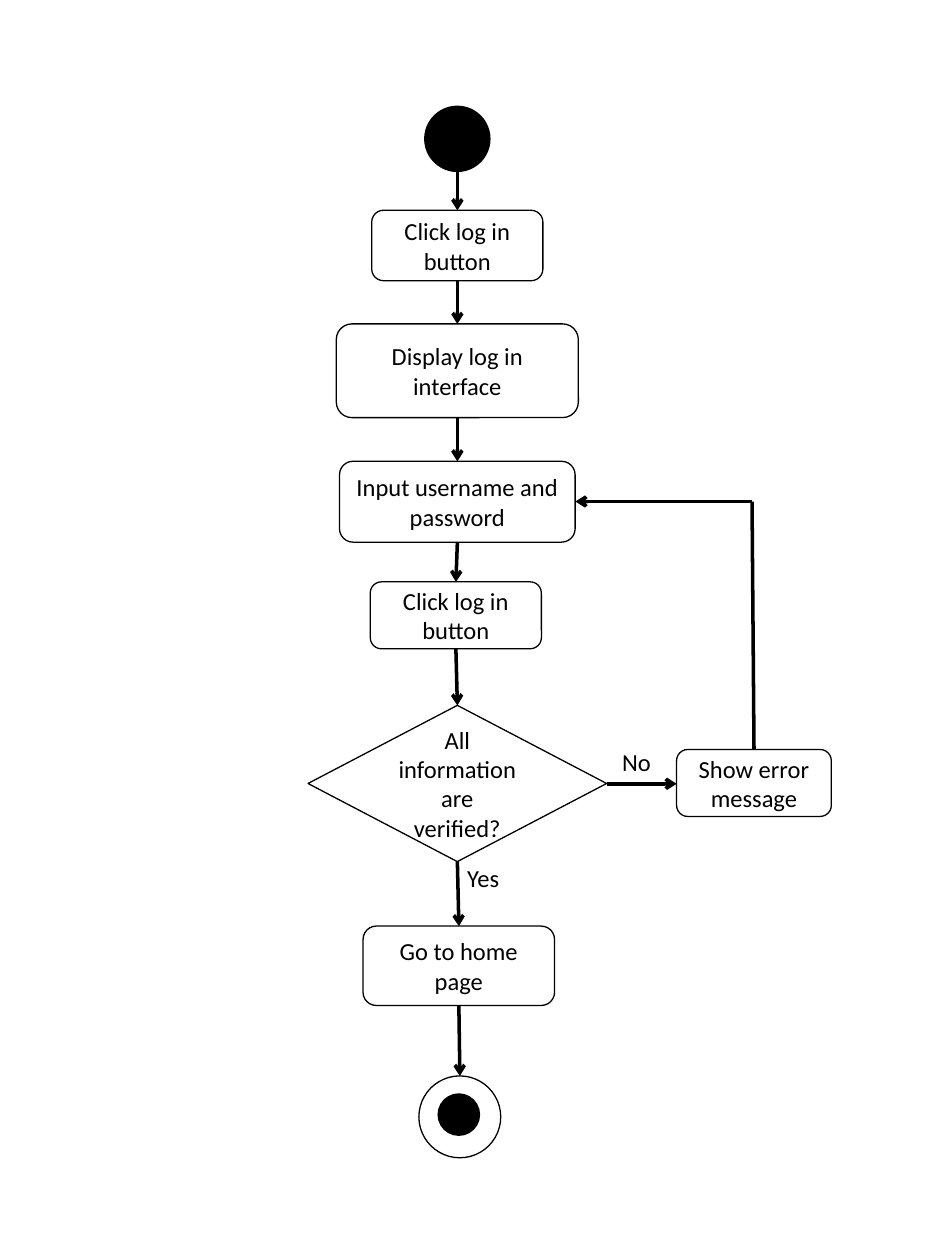
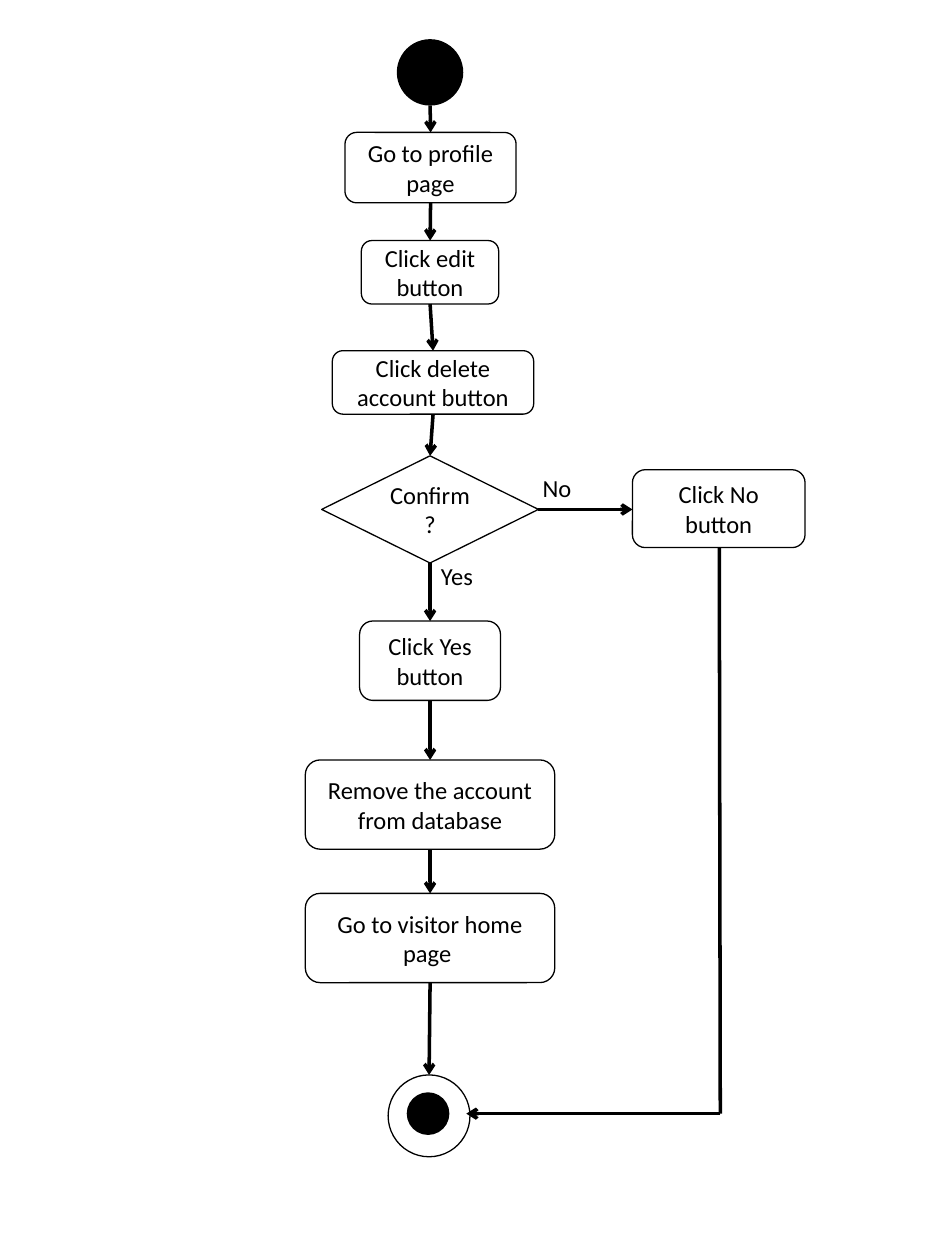
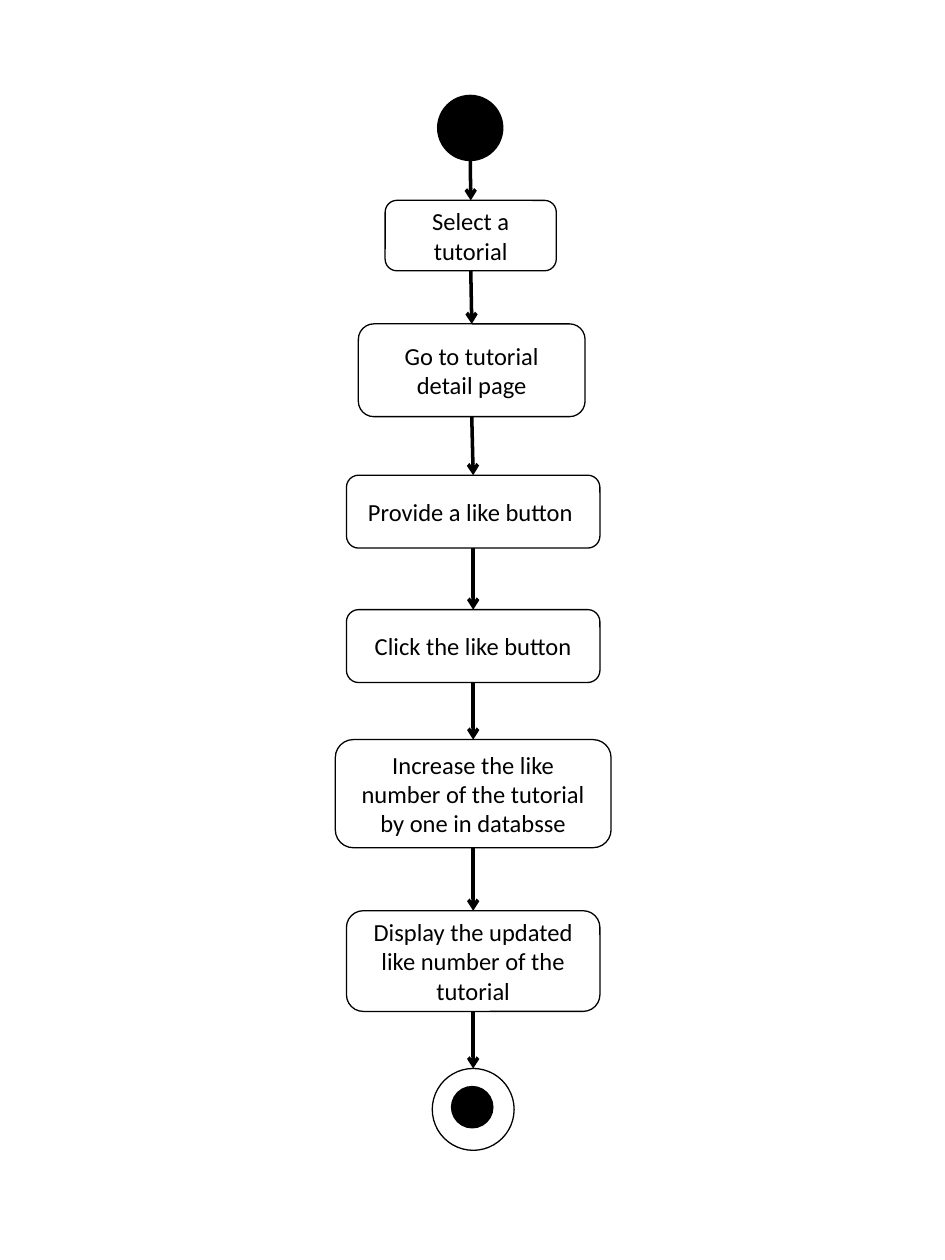
from lxml import etree
from pptx import Presentation
from pptx.dml.color import RGBColor
from pptx.enum.shapes import MSO_CONNECTOR, MSO_SHAPE
from pptx.enum.text import MSO_ANCHOR, MSO_AUTO_SIZE, PP_ALIGN
from pptx.oxml.ns import qn
from pptx.util import Cm, Pt

BLACK = RGBColor(0x00, 0x00, 0x00)
WHITE = RGBColor(0xFF, 0xFF, 0xFF)
OVAL = MSO_SHAPE.OVAL
STEP = MSO_SHAPE.ROUNDED_RECTANGLE
DECISION = MSO_SHAPE.FLOWCHART_DECISION
STRAIGHT = MSO_CONNECTOR.STRAIGHT
MIDDLE = MSO_ANCHOR.MIDDLE
CENTER = PP_ALIGN.CENTER
FIT = MSO_AUTO_SIZE.SHAPE_TO_FIT_TEXT
FONT = "Calibri"
START_D, END_D, DOT_D = 1.34, 1.65, 0.86

# nodes: kind, centre x, top, width, height, text; lengths in centimetres
FLOWS = [
    {
        "start": (9.22, 2.13),
        "nodes": [
            (STEP, 9.22, 4.24, 3.45, 1.42, "Click log in button"),
            (STEP, 9.22, 6.53, 4.88, 1.89, "Display log in interface"),
            (STEP, 9.22, 9.3, 4.75, 1.63, "Input username and password"),
            (STEP, 9.19, 11.73, 3.45, 1.35, "Click log in button"),
            (DECISION, 9.22, 14.22, 6.02, 3.15, "All information are verified?"),
            (STEP, 9.25, 18.67, 3.86, 1.6, "Go to home page"),
        ],
        "end": (9.27, 21.69),
        "side": (STEP, 15.2, 15.11, 3.12, 1.35, "Show error message"),
        "no_arrow": [(12.23, 15.8), (13.64, 15.8)],
        "side_route": [(15.2, 15.11), (15.16, 10.11), (11.6, 10.11)],
        "labels": [("Yes", 9.17, 17.27, 1.65), ("No", 12.29, 14.94, 1.19)],
    },
    {
        "start": (8.67, 0.79),
        "nodes": [
            (STEP, 8.68, 2.67, 3.45, 1.42, "Go to profile page"),
            (STEP, 8.67, 4.85, 2.77, 1.28, "Click edit button"),
            (STEP, 8.73, 7.07, 4.06, 1.28, "Click delete account button"),
            (DECISION, 8.67, 9.19, 4.37, 2.16, "Confirm?"),
            (STEP, 8.67, 12.52, 2.84, 1.6, "Click Yes button"),
            (STEP, 8.67, 15.32, 5.03, 1.8, "Remove the account from database"),
            (STEP, 8.67, 18.01, 5.03, 1.8, "Go to visitor home page "),
        ],
        "end": (8.65, 21.67),
        "side": (STEP, 14.49, 9.47, 3.48, 1.57, "Click No\vbutton"),
        "no_arrow": [(10.85, 10.27), (12.75, 10.27)],
        "side_route": [(14.5, 11.05), (14.52, 22.45), (9.4, 22.45)],
        "labels": [("Yes", 8.64, 11.18, 1.65), ("No", 10.69, 9.42, 1.19)],
    },
    {
        "start": (9.48, 1.91),
        "nodes": [
            (STEP, 9.49, 4.04, 3.45, 1.42, "Select a tutorial"),
            (STEP, 9.51, 6.53, 4.57, 1.87, "Go to tutorial detail page"),
            (STEP, 9.54, 9.58, 5.11, 1.47, "Provide a like button "),
            (STEP, 9.54, 12.29, 5.11, 1.47, "Click the like button"),
            (STEP, 9.54, 14.91, 5.56, 2.18,
             "Increase the like number of the tutorial by one in databsse"),
            (STEP, 9.54, 18.36, 5.11, 2.03,
             "Display the updated like number of the tutorial"),
        ],
        "end": (9.54, 21.54),
    },
]


def add_node(s, kind, cx, top, width, height, text="", fill=WHITE):
    sp = s.shapes.add_shape(kind, Cm(cx - width / 2), Cm(top), Cm(width), Cm(height))
    sp.shadow.inherit = False
    sp.fill.solid()
    sp.fill.fore_color.rgb = fill
    if fill == BLACK:
        sp.line.fill.background()
    else:
        sp.line.color.rgb = BLACK
        sp.line.width = Pt(0.75)
    if text:
        tf = sp.text_frame
        tf.word_wrap = True
        tf.vertical_anchor = MIDDLE
        tf.text = text
        p = tf.paragraphs[0]
        p.alignment = CENTER
        p.font.name = FONT
        p.font.size = Pt(14)
        p.font.color.rgb = BLACK


def add_route(s, points):
    for i in range(len(points) - 1):
        (x1, y1), (x2, y2) = points[i], points[i + 1]
        c = s.shapes.add_connector(STRAIGHT, Cm(x1), Cm(y1), Cm(x2), Cm(y2))
        c.line.color.rgb = BLACK
        c.line.width = Pt(2)
        if i == len(points) - 2:
            ln = c.line._get_or_add_ln()
            etree.SubElement(ln, qn("a:tailEnd"), type="arrow")
        etree.SubElement(c._element.spPr, qn("a:effectLst"))


prs = Presentation()
prs.slide_width = Cm(19.05)
prs.slide_height = Cm(25.4)

for flow in FLOWS:
    s = prs.slides.add_slide(prs.slide_layouts[6])
    start_x, start_top = flow["start"]
    end_x, end_top = flow["end"]

    add_node(s, OVAL, start_x, start_top, START_D, START_D, fill=BLACK)
    for node in flow["nodes"]:
        add_node(s, *node)
    add_node(s, OVAL, end_x, end_top, END_D, END_D)
    add_node(s, OVAL, end_x - 0.02, end_top + 0.35, DOT_D, DOT_D, fill=BLACK)

    exits = [(start_x, start_top + START_D)]
    exits += [(cx, top + height) for _, cx, top, _, height, _ in flow["nodes"]]
    entries = [(cx, top) for _, cx, top, _, _, _ in flow["nodes"]] + [flow["end"]]
    for pair in zip(exits, entries):
        add_route(s, pair)

    if "side" in flow:
        add_node(s, *flow["side"])
        add_route(s, flow["no_arrow"])
        add_route(s, flow["side_route"])

    for text, left, top, width in flow.get("labels", []):
        tf = s.shapes.add_textbox(Cm(left), Cm(top), Cm(width), Cm(0.86)).text_frame
        tf.word_wrap = True
        tf.auto_size = FIT
        tf.text = text
        p = tf.paragraphs[0]
        p.font.name = FONT
        p.font.size = Pt(14)
        p.font.color.rgb = BLACK

prs.save("out.pptx")
